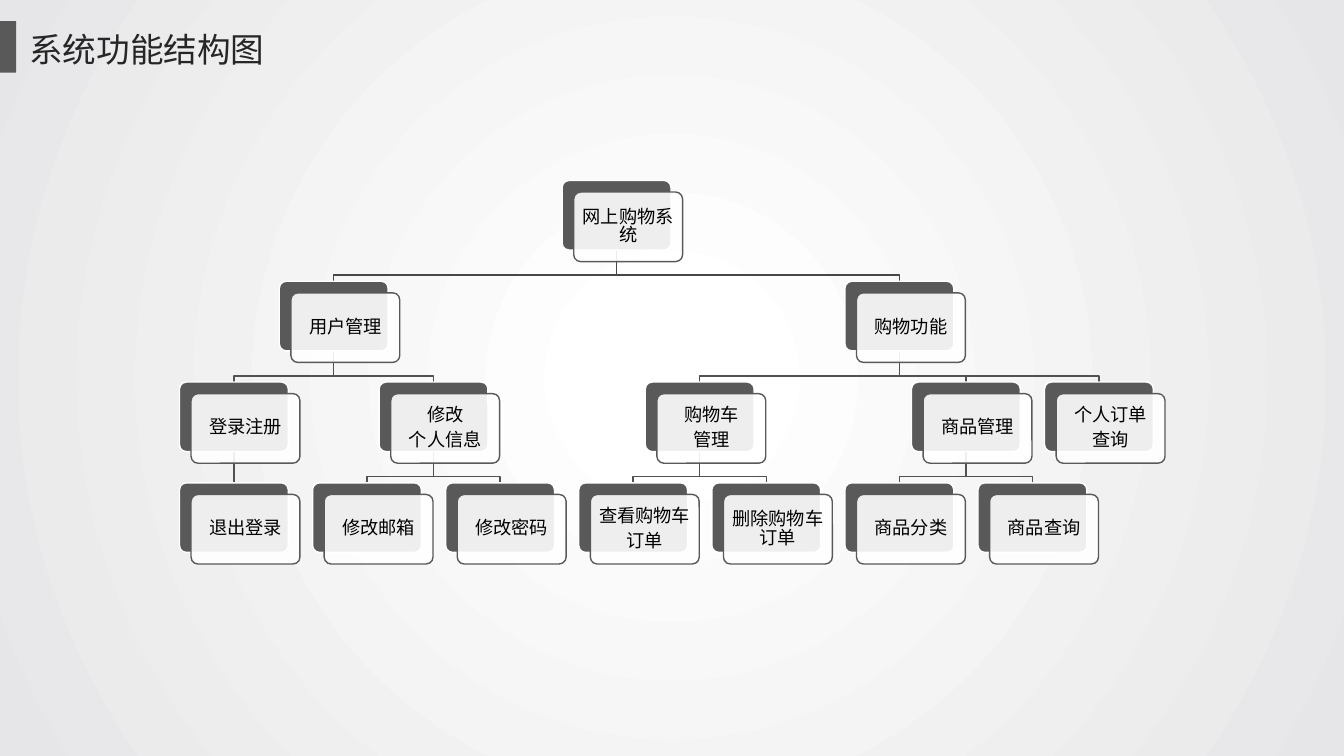
from lxml.etree import SubElement
from pptx import Presentation
from pptx.dml.color import RGBColor
from pptx.enum.shapes import MSO_SHAPE as Shape
from pptx.enum.text import MSO_ANCHOR as Anchor, PP_ALIGN as Align
from pptx.oxml.ns import qn
from pptx.util import Inches, Pt

COLORS = {
    "white": "FFFFFF", "edge": "E6E6E8", "gray": "595959",
    "title": "262626", "text": "000000", "trunk": "474747", "branch": "515151",
}
FONT = "Noto Sans CJK SC"


def color(name):
    return RGBColor.from_string(COLORS[name])


def write(para, text, size, color_name):
    span = para.add_run()
    span.text = text
    for key, value in {"name": FONT, "size": Pt(size), "bold": False}.items():
        setattr(span.font, key, value)
    span.font.color.rgb = color(color_name)
    SubElement(span.font._element, qn("a:ea"), typeface=FONT)


deck = Presentation()
deck.slide_width, deck.slide_height = Inches(13.33), Inches(7.5)
page = deck.slides.add_slide(deck.slide_layouts[5])

# Background: circular gradient from the centre
backdrop = page.background.fill
backdrop.gradient()
for stop, position, name in zip(backdrop.gradient_stops, (0.09, 1), ("white", "edge")):
    stop.position = position
    stop.color.rgb = color(name)
gradient = page.element.find(".//" + qn("a:gradFill"))
gradient.remove(gradient.find(qn("a:lin")))
circle = SubElement(gradient, qn("a:path"), path="circle")
SubElement(circle, qn("a:fillToRect"), l="50000", t="50000", r="50000", b="50000")

# Title with its side bar
title = page.shapes.title
title.left, title.top = Inches(0.19), Inches(0.24)
title.width, title.height = Inches(2.81), Inches(0.91)
title.text_frame.vertical_anchor = Anchor.TOP
title.text_frame.paragraphs[0].alignment = Align.LEFT
write(title.text_frame.paragraphs[0], "系统功能结构图", 24, "title")

bar = page.shapes.add_shape(Shape.RECTANGLE, 0, Inches(0.21), Inches(0.16), Inches(0.51))
bar.shadow.inherit = False
bar.fill.solid()
bar.fill.fore_color.rgb = color("gray")
bar.line.fill.background()

# Tree: lines of text, level, column, index of the parent
NODES = [
    (["网上购物系统"], 0, 2.875, None),
    (["用户管理"], 1, 0.75, 0),
    (["登录注册"], 2, 0, 1),
    (["退出登录"], 3, 0, 2),
    (["修改", "个人信息"], 2, 1.5, 1),
    (["修改邮箱"], 3, 1, 4),
    (["修改密码"], 3, 2, 4),
    (["购物功能"], 1, 5, 0),
    (["购物车", "管理"], 2, 3.5, 7),
    (["查看购物车", "订单"], 3, 3, 8),
    (["删除购物车订单"], 3, 4, 8),
    (["商品管理"], 2, 5.5, 7),
    (["商品分类"], 3, 5, 11),
    (["商品查询"], 3, 6, 11),
    (["个人订单", "查询"], 2, 6.5, 7),
]
FIRST_CENTER, COLUMN_PITCH = 2.32, 1.32
FIRST_TOP, LEVEL_PITCH = 1.79, 1
BOX_WIDTH, BOX_HEIGHT, OFFSET = 1.08, 0.69, 0.115

# Branch lines, behind the boxes
for lines, level, column, parent in NODES:
    if parent is None:
        continue
    start = Inches(FIRST_CENTER + COLUMN_PITCH * NODES[parent][2])
    end = Inches(FIRST_CENTER + COLUMN_PITCH * column)
    top = FIRST_TOP + LEVEL_PITCH * level
    bend = Inches(top - 0.06)
    outline = page.shapes.build_freeform(start, Inches(top - 0.31))
    outline.add_line_segments([(start, bend), (end, bend), (end, Inches(top))], close=False)
    branch = outline.convert_to_shape()
    branch.shadow.inherit = False
    branch.fill.background()
    branch.line.color.rgb = color("trunk" if level == 1 else "branch")
    branch.line.width = Pt(1)

# Boxes: a dark plate and an offset white card that holds the text
for lines, level, column, parent in NODES:
    left = FIRST_CENTER + COLUMN_PITCH * column - BOX_WIDTH / 2
    top = FIRST_TOP + LEVEL_PITCH * level
    for shift, fill, border in ((0, "gray", "white"), (OFFSET, "white", "gray")):
        card = page.shapes.add_shape(
            Shape.ROUNDED_RECTANGLE, Inches(left + shift), Inches(top + shift),
            Inches(BOX_WIDTH), Inches(BOX_HEIGHT))
        card.adjustments[0] = 0.1
        card.shadow.inherit = False
        card.fill.solid()
        card.fill.fore_color.rgb = color(fill)
        card.line.color.rgb = color(border)
        card.line.width = Pt(1)

    # The last card drawn is the white one
    solid = card._element.spPr.find(qn("a:solidFill"))
    SubElement(solid[0], qn("a:alpha"), val="90000")
    frame = card.text_frame
    frame.word_wrap = True
    frame.vertical_anchor = Anchor.MIDDLE
    for side in ("left", "top", "right", "bottom"):
        setattr(frame, "margin_" + side, Inches(0.05))
    for index, line in enumerate(lines):
        para = frame.add_paragraph() if index else frame.paragraphs[0]
        para.alignment = Align.CENTER
        para.line_spacing = 0.85
        para.space_after = Pt(4.55)
        write(para, line, 13, "text")

deck.save("out.pptx")
